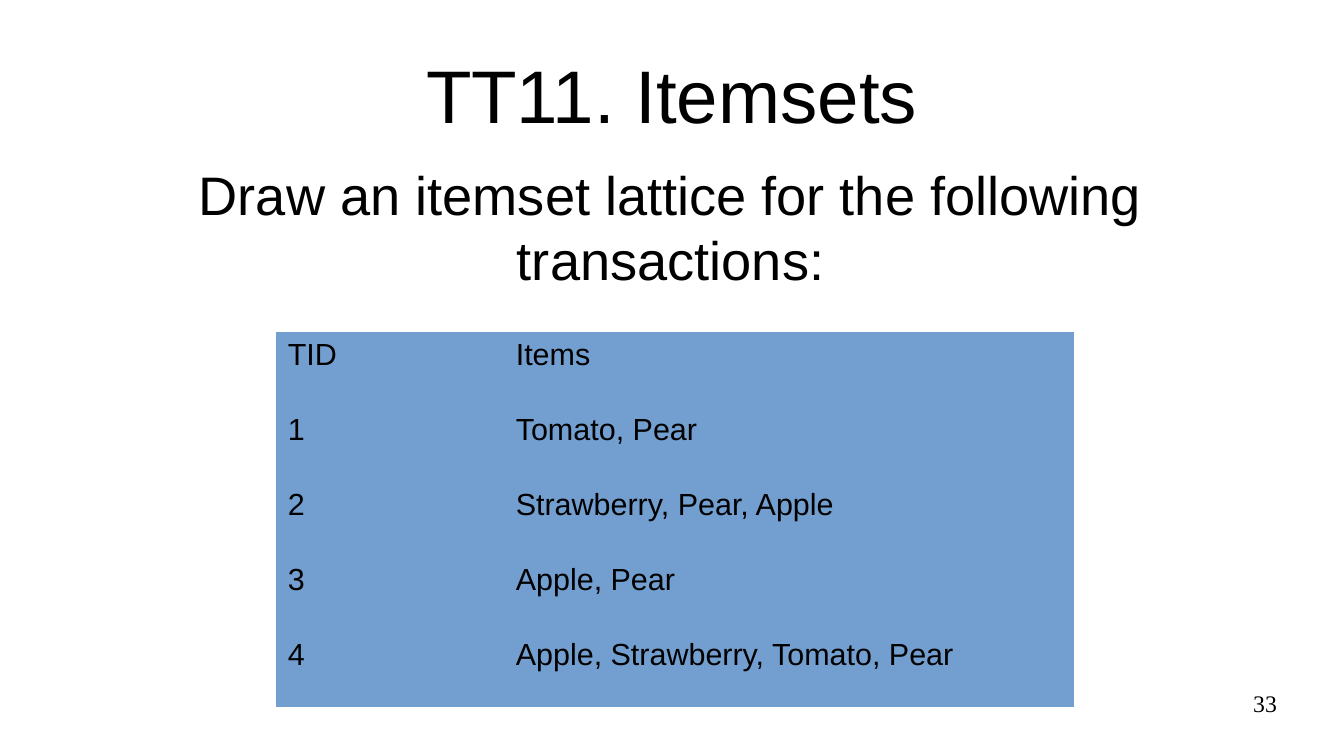
"""Build the itemsets exercise slide with its transaction table."""
from dataclasses import dataclass

from pptx import Presentation
from pptx.dml.color import RGBColor
from pptx.enum.text import MSO_ANCHOR, PP_ALIGN
from pptx.slide import Slide
from pptx.text.text import TextFrame
from pptx.util import Inches, Pt

BLACK = "000000"
TABLE_BLUE = "729FCF"
NO_STYLE_NO_GRID = "{2D5ABB26-0587-4C30-8999-92F81FD0307C}"
COLUMN_WIDTHS = (1.87, 4.68)
TABLE_HEIGHT = 3.08
TRANSACTIONS = (
    ("TID", "Items"),
    ("1", "Tomato, Pear"),
    ("2", "Strawberry, Pear, Apple"),
    ("3", "Apple, Pear"),
    ("4", "Apple, Strawberry, Tomato, Pear"),
)


@dataclass(frozen=True)
class Label:
    text: str
    left: float
    top: float
    width: float
    height: float
    size: int
    font: str = "Arial"
    alignment: PP_ALIGN = PP_ALIGN.CENTER
    anchor: MSO_ANCHOR = MSO_ANCHOR.MIDDLE


LABELS = (
    Label("TT11. Itemsets", 0.55, 0.25, 9.92, 1.04, 44),
    Label("Draw an itemset lattice for the following transactions:",
          0.54, 1.03, 9.92, 1.65, 32),
    Label("33", 7.9, 5.65, 2.57, 0.43, 14, "Times New Roman",
          PP_ALIGN.RIGHT, MSO_ANCHOR.TOP),
)


def color(value: str) -> RGBColor:
    return RGBColor.from_string(value)


def write_text(frame: TextFrame, text: str, size: int, font: str,
               alignment: PP_ALIGN) -> None:
    frame.text = text
    paragraph = frame.paragraphs[0]
    paragraph.alignment = alignment
    for run in paragraph.runs:
        run.font.size = Pt(size)
        run.font.name = font
        run.font.bold = False
        run.font.color.rgb = color(BLACK)


def add_label(slide: Slide, label: Label) -> None:
    shape = slide.shapes.add_textbox(Inches(label.left), Inches(label.top),
                                     Inches(label.width), Inches(label.height))
    frame = shape.text_frame
    frame.word_wrap = True
    frame.vertical_anchor = label.anchor
    frame.margin_left = frame.margin_right = Inches(0)
    frame.margin_top = frame.margin_bottom = Inches(0)
    write_text(frame, label.text, label.size, label.font, label.alignment)


def add_transaction_table(slide: Slide) -> None:
    shape = slide.shapes.add_table(
        len(TRANSACTIONS), len(COLUMN_WIDTHS), Inches(2.26), Inches(2.72),
        Inches(sum(COLUMN_WIDTHS)), Inches(TABLE_HEIGHT))
    table = shape.table
    table.first_row = table.horz_banding = False
    table._tbl.tblPr[0].text = NO_STYLE_NO_GRID
    for column, width in zip(table.columns, COLUMN_WIDTHS):
        column.width = Inches(width)
    for row, texts in zip(table.rows, TRANSACTIONS):
        for cell, text in zip(row.cells, texts):
            cell.fill.solid()
            cell.fill.fore_color.rgb = color(TABLE_BLUE)
            write_text(cell.text_frame, text, 18, "Arial", PP_ALIGN.LEFT)


def main() -> None:
    presentation = Presentation()
    presentation.slide_width = Inches(11.02)
    presentation.slide_height = Inches(6.2)
    slide = presentation.slides.add_slide(presentation.slide_layouts[6])
    title, task, page_number = LABELS
    add_label(slide, title)
    add_label(slide, task)
    add_transaction_table(slide)
    add_label(slide, page_number)
    presentation.save("out.pptx")


if __name__ == "__main__":
    main()
